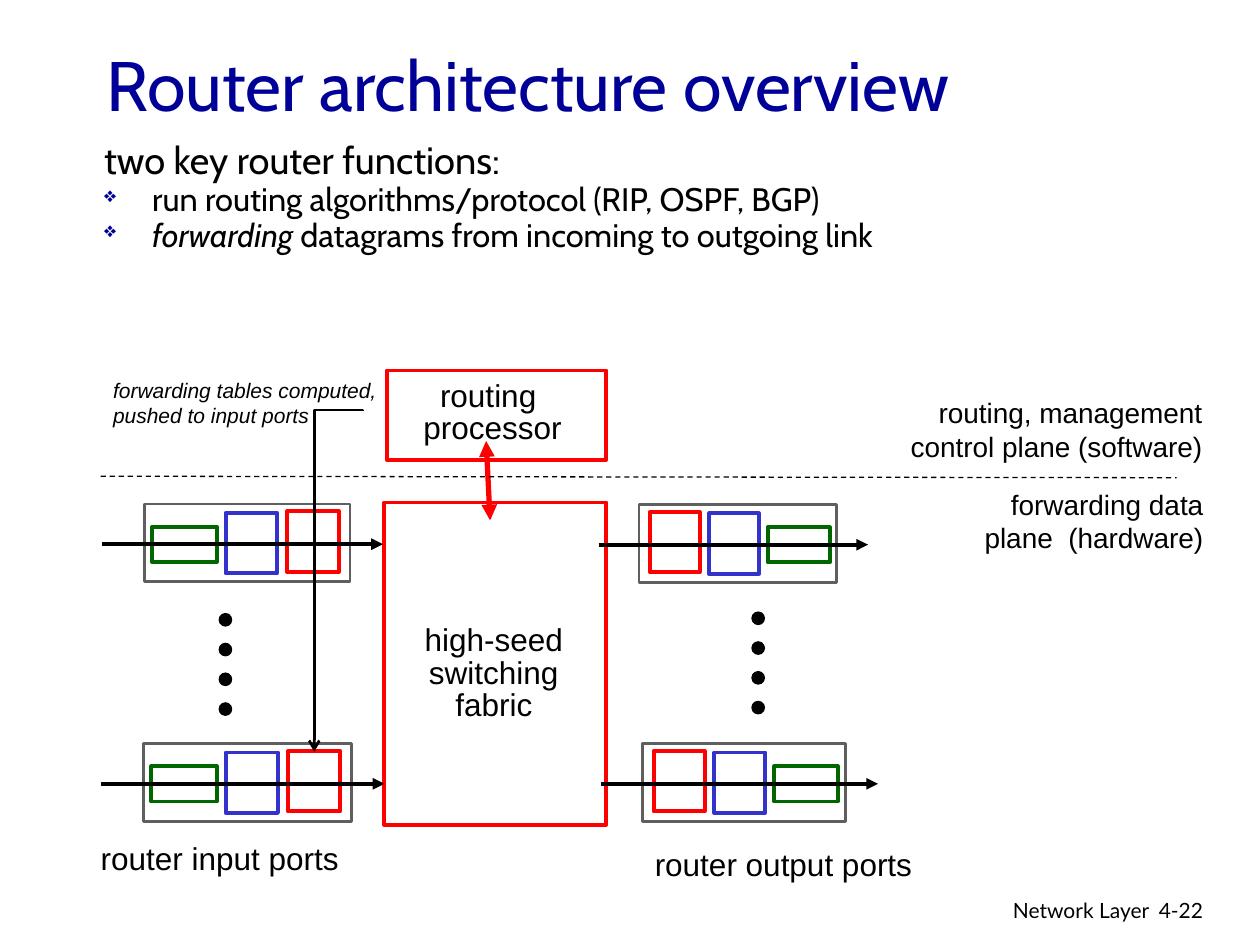
from dataclasses import dataclass

from lxml import etree
from pptx import Presentation
from pptx import util as u
from pptx.dml.color import RGBColor
from pptx.enum import dml, shapes, text
from pptx.oxml import ns

LEFT, CENTER, RIGHT = text.PP_ALIGN.LEFT, text.PP_ALIGN.CENTER, text.PP_ALIGN.RIGHT
RECT, OVAL = shapes.MSO_SHAPE.RECTANGLE, shapes.MSO_SHAPE.OVAL
STRAIGHT, ELBOW = shapes.MSO_CONNECTOR.STRAIGHT, shapes.MSO_CONNECTOR.ELBOW


@dataclass(frozen=True)
class Theme:
    ink: str = "000000"
    paper: str = "FFFFFF"
    heading: str = "000099"
    red: str = "FF0000"
    green: str = "006600"
    blue: str = "3333CC"
    frame: str = "5F5F5F"
    head_font: str = "Cabin"
    label_font: str = "Arial"
    footer_font: str = "Lato"
    title: float = 40
    lead: float = 21.7
    bullet: float = 18.6
    label: float = 18
    plane: float = 16
    note: float = 12


T = Theme()


def rgb(value):
    return RGBColor.from_string(value)


def sub(parent, tag, **attrs):
    return etree.SubElement(parent, ns.qn(tag), attrs)


def format_runs(p, size, font, color=T.ink, italic=None):
    for r in p.runs:
        r.font.size, r.font.name = u.Pt(size), font
        r.font.color.rgb = rgb(color)
        if italic is not None:
            r.font.italic = italic


def add_text(s, box, content, size, font=T.label_font, color=T.ink, align=LEFT,
             wrap=True, spacing=None, italic=None):
    tf = s.shapes.add_textbox(*map(u.Cm, box)).text_frame
    tf.word_wrap = wrap
    tf.text = content
    for p in tf.paragraphs:
        p.alignment = align
        if spacing:
            p.line_spacing = spacing
        format_runs(p, size, font, color, italic)
    return tf


def add_bullet(p):
    pPr = p._p.get_or_add_pPr()
    sub(sub(pPr, "a:buClr"), "a:srgbClr", val=T.heading)
    sub(pPr, "a:buSzPct", val="65000")
    sub(pPr, "a:buChar", char="❖")


def add_functions(s):
    """Lead line and bullets on what a router does."""
    tf = add_text(s, (1.85, 2.92, 22.58, 2.54),
                  "two key router functions:\n"
                  "run routing algorithms/protocol (RIP, OSPF, BGP)\n",
                  T.bullet, T.head_font, spacing=0.65)
    lead, routing, forwarding = tf.paragraphs
    for words in ("forwarding ", "datagrams from incoming to outgoing link"):
        forwarding.add_run().text = words
    format_runs(lead, T.lead, T.head_font)
    format_runs(forwarding, T.bullet, T.head_font)
    forwarding.runs[0].font.italic = True
    lead.space_before = u.Pt(4.5)
    for p in (routing, forwarding):
        p.space_before = u.Pt(6)
        add_bullet(p)
    for p in tf.paragraphs:
        pPr = p._p.get_or_add_pPr()
        pPr.set("marL", str(u.Cm(0.97)))
        pPr.set("indent", str(-u.Cm(0.97)))


def add_block(parent, box, line, width=2.25, fill=T.paper, kind=RECT):
    sp = parent.shapes.add_shape(kind, *map(u.Cm, box))
    sp.shadow.inherit = False
    sp.fill.solid()
    sp.fill.fore_color.rgb = rgb(fill)
    sp.line.color.rgb = rgb(line)
    sp.line.width = u.Pt(width)


def add_line(parent, start, end, color=T.ink, width=2.25, head=None, tail=None, kind=STRAIGHT):
    cx = parent.shapes.add_connector(kind, *map(u.Cm, start + end))
    cx.line.color.rgb = rgb(color)
    cx.line.width = u.Pt(width)
    ln = cx.line._get_or_add_ln()
    for tag, arrow in (("a:headEnd", head), ("a:tailEnd", tail)):
        if arrow:
            sub(ln, tag, type=arrow)
    sub(cx._element.spPr, "a:effectLst")
    return cx


def add_table_push(s):
    """Elbow arrow from the note down to the lower input port."""
    cx = add_line(s, (3.38, 11.23), (10.26, 12.2), width=1.5, tail="arrow", kind=ELBOW)
    spPr = cx._element.spPr
    spPr.find(ns.qn("a:xfrm")).set("rot", "5400000")
    geom = spPr.find(ns.qn("a:prstGeom"))
    guides = geom.find(ns.qn("a:avLst"))
    if guides is None:
        guides = sub(geom, "a:avLst")
    sub(guides, "a:gd", name="adj1", fmla="val -100")


def add_port(s, left, top, width, arrow, output=False):
    """Frame with three stages; an output port runs them in mirrored order."""
    group = s.shapes.add_group_shape()
    add_block(group, (left, top, width, 1.57), T.frame, 1.5)
    scale = width / 4.14
    stages = ((0.15, 0.46, 1.3, 0.71, T.green),
              (1.63, 0.18, 1.04, 1.22, T.blue),
              (2.87, 0.15, 1.04, 1.22, T.red))
    for dx, dy, w, h, color in stages:
        dx, w = dx * scale, w * scale
        if output:
            dx = width - dx - w
        add_block(group, (left + dx, top + dy, w, h), color)
    y = top + 0.81
    add_line(group, (arrow[0], y), (arrow[1], y), tail="triangle")


def add_dots(s, left, top):
    group = s.shapes.add_group_shape()
    for i in range(4):
        add_block(group, (left, top + 0.6 * i, 0.25, 0.25), T.ink, 0.75, T.ink, OVAL)


def add_core(s):
    add_block(s, (7.75, 10.13, 4.47, 6.5), T.red)
    add_text(s, (8.23, 12.5, 3.45, 2.21), "high-seed \nswitching\nfabric", T.label,
             align=CENTER, wrap=False, spacing=0.85)
    add_block(s, (7.8, 7.47, 4.42, 1.8), T.red)
    add_text(s, (8.28, 7.57, 3.3, 1.55), "routing \nprocessor", T.label,
             align=CENTER, wrap=False, spacing=0.85)
    add_line(s, (9.8, 8.89), (9.88, 10.49), T.red, 3, "triangle", "triangle")


def add_ports(s):
    add_port(s, 2.92, 10.16, 4.14, (2.06, 7.72))
    add_port(s, 2.9, 14.99, 4.19, (2.03, 7.75))
    add_dots(s, 4.42, 12.37)
    add_text(s, (1.78, 16.79, 5.31, 1.02), "router input ports", T.label, wrap=False)
    add_port(s, 12.88, 10.17, 3.99, (12.07, 17.5), output=True)
    add_port(s, 12.95, 14.99, 4.09, (12.12, 17.7), output=True)
    add_dots(s, 15.16, 12.34)
    add_text(s, (12.95, 16.92, 5.69, 1.02), "router output ports", T.label, wrap=False)


def add_planes(s):
    divider = add_line(s, (2.03, 9.6), (23.72, 9.63), width=0.75)
    divider.line.dash_style = dml.MSO_LINE.DASH
    add_text(s, (19.13, 9.7, 5.38, 1.63), "forwarding data plane  (hardware)",
             T.plane, align=RIGHT)
    add_text(s, (17.68, 7.85, 6.81, 1.63), "routing, management\ncontrol plane (software)",
             T.plane, align=RIGHT)


def main():
    prs = Presentation()
    prs.slide_width, prs.slide_height = u.Cm(25.4), u.Cm(19.05)
    s = prs.slides.add_slide(prs.slide_layouts[6])
    add_text(s, (15.37, 17.96, 8.05, 0.79), "Network Layer", T.note, T.footer_font, align=RIGHT)
    add_text(s, (23.11, 17.96, 1.88, 0.76), "4-22", T.note, T.footer_font)
    title = add_text(s, (1.9, 0.84, 21.59, 1.7), "Router architecture overview",
                     T.title, T.head_font, T.heading)
    title.vertical_anchor = text.MSO_ANCHOR.MIDDLE
    add_functions(s)
    add_core(s)
    add_ports(s)
    add_planes(s)
    add_table_push(s)
    add_text(s, (2.03, 7.49, 5.82, 1.27), "forwarding tables computed,\npushed to input ports",
             T.note, wrap=False, italic=True)
    prs.save("out.pptx")


if __name__ == "__main__":
    main()
